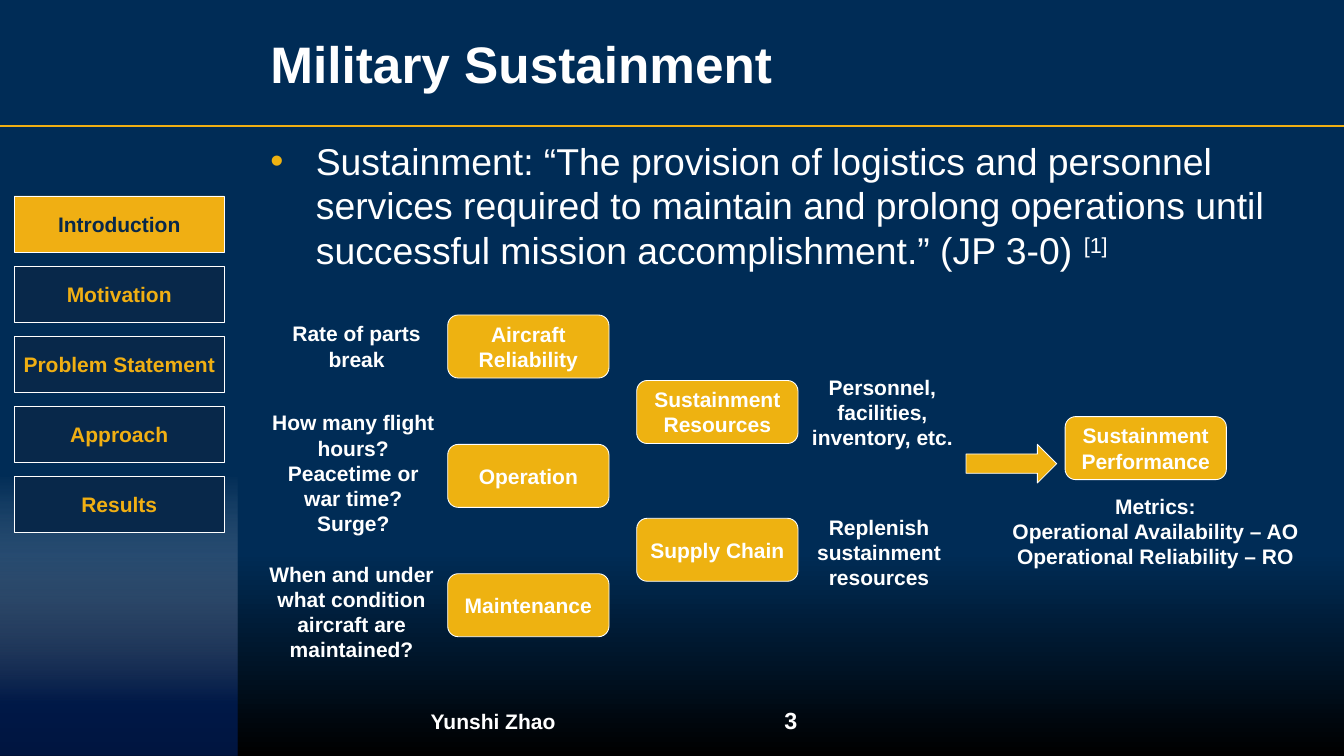
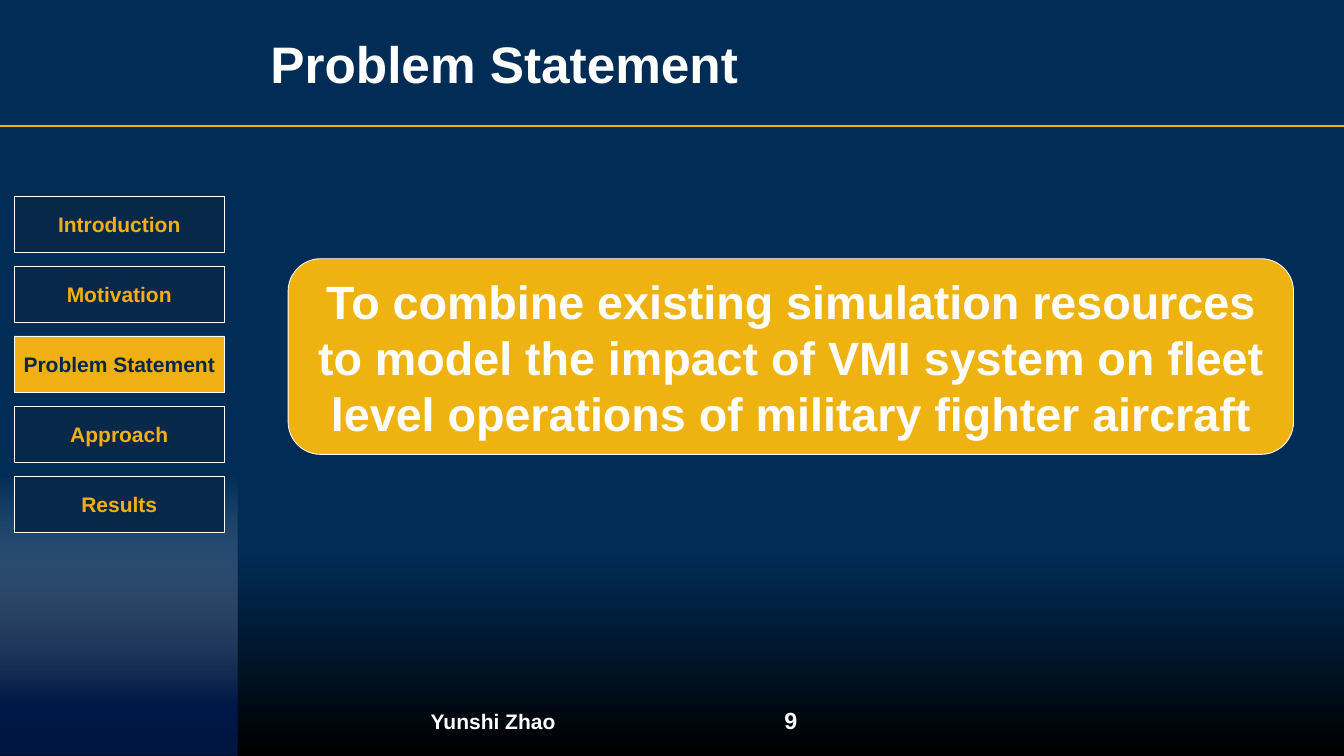
from dataclasses import dataclass
from typing import Any

import pptx
import pptx.dml.color
import pptx.enum.dml
import pptx.enum.shapes
import pptx.enum.text
import pptx.oxml
import pptx.oxml.ns
import pptx.util
from pptx.util import Inches

SHAPE = pptx.enum.shapes.MSO_SHAPE
ALIGN = pptx.enum.text.PP_ALIGN
MIDDLE = pptx.enum.text.MSO_ANCHOR.MIDDLE
TOP = pptx.enum.text.MSO_ANCHOR.TOP
NS = pptx.oxml.ns.nsdecls("a")


# Theme
@dataclass(frozen=True)
class Theme:
    font: str = "Arial"
    navy: str = "002C56"
    black: str = "000000"
    dark: str = "08284A"
    accent: str = "F0AF13"
    gold: str = "EEB211"
    band: str = "002060"
    white: str = "FFFFFF"
    title: int = 44
    statement: int = 40
    body: int = 32
    number: int = 20
    label: int = 18


T = Theme()


# Repeated elements
@dataclass(frozen=True)
class Box:
    left: float
    top: float
    width: float
    height: float

    def emu(self) -> tuple:
        return tuple(Inches(v) for v in (self.left, self.top, self.width, self.height))


@dataclass(frozen=True)
class Node:
    label: str
    left: float
    top: float


@dataclass(frozen=True)
class Note:
    text: str
    box: Box


@dataclass(frozen=True)
class Stop:
    color: str
    position: float
    alpha: int = 100


SECTIONS = ("Introduction", "Motivation", "Problem Statement", "Approach", "Results")
NAV_TOP, NAV_PITCH = 7 / 3, 5 / 6
TITLE_BOX = Box(3.08, 0, 12.65, 1.5)
BODY_BOX = Box(3.08, 1.57, 12.65, 1.71)
AUTHOR = Note("Yunshi Zhao", Box(3.08, 8.34, 5.58, 0.48))
NUMBER_BOX = Box(9.08, 8.33, 0.67, 0.48)

NODE_WIDTH, NODE_HEIGHT = 1.92, 0.75
DRIVERS = ("Aircraft Reliability", "Operation", "Maintenance")
NODES = [Node(label, 5.33, 3.75 + 1.54 * i) for i, label in enumerate(DRIVERS)] + [
    Node("Sustainment Resources", 7.58, 4.53),
    Node("Supply Chain", 7.58, 6.17),
    Node("Sustainment Performance", 12.68, 4.96),
]
NOTES = (
    Note("Rate of parts break", Box(3.16, 3.77, 2.17, 0.71)),
    Note("How many flight hours? Peacetime or war time? Surge?",
         Box(3.08, 4.83, 2.25, 1.62)),
    Note("When and under what condition aircraft are maintained?",
         Box(3.04, 6.63, 2.29, 1.31)),
    Note("Personnel, facilities, inventory, etc.", Box(9.42, 4.41, 2.17, 1.01)),
    Note("Replenish sustainment resources", Box(9.38, 6.07, 2.17, 1.01)),
    Note("Metrics:\nOperational Availability – AO\nOperational Reliability – RO",
         Box(11.94, 5.82, 3.63, 1.01)),
)


# Formatting helpers
def rgb(color: str) -> pptx.dml.color.RGBColor:
    return pptx.dml.color.RGBColor.from_string(color)


def assign(target: Any, values: dict) -> None:
    for name, value in values.items():
        setattr(target, name, value)


def write(tf: Any, text: str, size: int, color: str = T.white, bold: bool = True,
          align: Any = ALIGN.CENTER, anchor: Any = MIDDLE) -> None:
    assign(tf, {"text": text, "word_wrap": True, "vertical_anchor": anchor,
                "auto_size": pptx.enum.text.MSO_AUTO_SIZE.NONE})
    for p in tf.paragraphs:
        p.alignment = align
        for r in p.runs:
            style_run(r, size, color, bold)


def style_run(r: Any, size: int, color: str, bold: bool) -> None:
    assign(r.font, {"name": T.font, "size": pptx.util.Pt(size), "bold": bold})
    r.font.color.rgb = rgb(color)


def fill_gradient(fill: Any, stops: tuple) -> None:
    fill.gradient()
    fill.gradient_angle = 270
    for gs, stop in zip(fill.gradient_stops, stops):
        gs.color.rgb = rgb(stop.color)
        gs.position = stop.position
    if any(stop.alpha < 100 for stop in stops):
        colors = fill._xPr.iter(pptx.oxml.ns.qn("a:srgbClr"))
        for clr, stop in zip(colors, stops):
            clr.append(pptx.oxml.parse_xml(f'<a:alpha {NS} val="{stop.alpha * 1000}"/>'))


def place(sp: Any, box: Box) -> None:
    assign(sp, dict(zip(("left", "top", "width", "height"), box.emu())))


def add_box(s: Any, kind: Any, box: Box, fill: str) -> Any:
    sp = s.shapes.add_shape(kind, *box.emu())
    sp.shadow.inherit = False
    sp.fill.solid()
    sp.fill.fore_color.rgb = rgb(fill)
    sp.line.color.rgb = rgb(T.white)
    sp.line.width = pptx.util.Pt(0.75)
    return sp


def add_text(s: Any, note: Note, size: int = T.label, anchor: Any = TOP) -> None:
    tb = s.shapes.add_textbox(*note.box.emu())
    write(tb.text_frame, note.text, size, anchor=anchor)


def set_placeholder(sp: Any, box: Box) -> Any:
    place(sp, box)
    tf = sp.text_frame
    assign(tf, {"margin_left": Inches(0.14), "margin_right": Inches(0.14),
                "margin_top": Inches(0.07), "margin_bottom": Inches(0.07)})
    return tf


# Shared slide frame
def add_frame(s: Any) -> None:
    line = s.shapes.add_connector(pptx.enum.shapes.MSO_CONNECTOR.STRAIGHT,
                                  0, Inches(1.5), Inches(16), Inches(1.5))
    line.line.color.rgb = rgb(T.accent)
    line.line.width = pptx.util.Pt(2.5)
    line._element.spPr.append(pptx.oxml.parse_xml(f"<a:effectLst {NS}/>"))
    band = s.shapes.add_shape(SHAPE.RECTANGLE, *Box(0, 0, 2.83, 9).emu())
    band.shadow.inherit = False
    band.line.fill.background()
    fill_gradient(band.fill, (Stop(T.white, 0.63, 0), Stop(T.band, 0.93, 66)))


def add_title(s: Any, text: str) -> None:
    tf = set_placeholder(s.shapes.title, TITLE_BOX)
    write(tf, text, T.title, align=ALIGN.LEFT)
    rPr = tf.paragraphs[0].runs[0]._r.get_or_add_rPr()
    shadow = pptx.oxml.parse_xml(
        f'<a:effectLst {NS}><a:outerShdw blurRad="38100" dist="38100" dir="2700000">'
        f'<a:srgbClr val="{T.black}"/></a:outerShdw></a:effectLst>')
    rPr.find(pptx.oxml.ns.qn("a:solidFill")).addnext(shadow)


def add_navigation(s: Any, current: str) -> None:
    for i, section in enumerate(SECTIONS):
        fill, color = (T.accent, T.dark) if section == current else (T.dark, T.accent)
        box = Box(0.17, NAV_TOP + i * NAV_PITCH, 2.5, 0.67)
        write(add_box(s, SHAPE.RECTANGLE, box, fill).text_frame, section, T.label, color)


def add_slide(prs: Any, layout: int, title: str, section: str, number: int) -> Any:
    s = prs.slides.add_slide(prs.slide_layouts[layout])
    add_frame(s)
    add_title(s, title)
    add_navigation(s, section)
    add_text(s, AUTHOR, anchor=MIDDLE)
    add_text(s, Note(str(number), NUMBER_BOX), T.number, MIDDLE)
    return s


# Slide contents
def add_definition(s: Any) -> None:
    tf = set_placeholder(s.placeholders[1], BODY_BOX)
    write(tf, "Sustainment: “The provision of logistics and personnel services required "
              "to maintain and prolong operations until successful mission "
              "accomplishment.” (JP 3-0) ",
          T.body, bold=False, align=ALIGN.LEFT, anchor=TOP)
    p = tf.paragraphs[0]
    r = p.add_run()
    r.text = "[1]"
    style_run(r, T.body, T.white, False)
    r._r.get_or_add_rPr().set("baseline", "30000")
    pPr = p._p.get_or_add_pPr()
    pPr.set("marL", str(Inches(0.54)))
    pPr.set("indent", str(-Inches(0.54)))
    for xml in (f'<a:buClr {NS}><a:srgbClr val="{T.gold}"/></a:buClr>',
                f'<a:buFont {NS} typeface="{T.font}"/>',
                f'<a:buChar {NS} char="•"/>'):
        pPr.append(pptx.oxml.parse_xml(xml))


def add_sustainment(prs: Any) -> None:
    s = add_slide(prs, 1, "Military Sustainment", "Introduction", 3)
    add_definition(s)
    for node in NODES:
        box = Box(node.left, node.top, NODE_WIDTH, NODE_HEIGHT)
        sp = add_box(s, SHAPE.ROUNDED_RECTANGLE, box, T.gold)
        write(sp.text_frame, node.label, T.label)
    for note in NOTES:
        add_text(s, note)
    add_box(s, SHAPE.RIGHT_ARROW, Box(11.5, 5.29, 1.08, 0.46), T.gold)


def add_statement(prs: Any) -> None:
    s = add_slide(prs, 5, "Problem Statement", "Problem Statement", 9)
    sp = add_box(s, SHAPE.ROUNDED_RECTANGLE, Box(3.43, 3.08, 11.97, 2.33), T.gold)
    write(sp.text_frame, "To combine existing simulation resources to model the impact of "
                         "VMI system on fleet level operations of military fighter aircraft",
          T.statement)


def main() -> None:
    prs = pptx.Presentation()
    assign(prs, {"slide_width": Inches(16), "slide_height": Inches(9)})
    fill_gradient(prs.slide_master.background.fill,
                  (Stop(T.navy, 0.73), Stop(T.black, 1)))
    add_sustainment(prs)
    add_statement(prs)
    prs.save("out.pptx")


if __name__ == "__main__":
    main()
